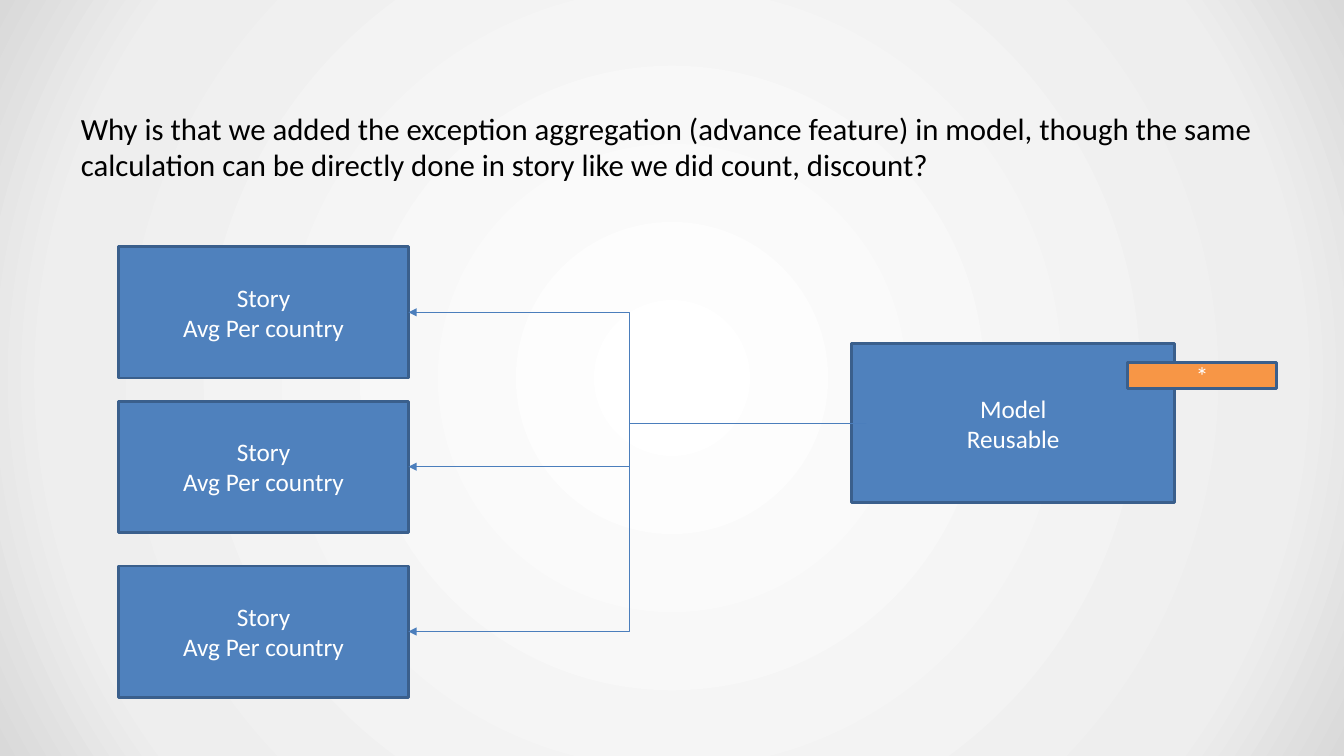
from pptx import Presentation
from pptx.dml.color import RGBColor
from pptx.enum.shapes import MSO_CONNECTOR, MSO_SHAPE
from pptx.enum.text import MSO_ANCHOR, PP_ALIGN
from pptx.oxml import parse_xml
from pptx.oxml.ns import nsdecls, qn
from pptx.util import Emu, Pt

RECT, ELBOW = MSO_SHAPE.RECTANGLE, MSO_CONNECTOR.ELBOW
MIDDLE, CENTER = MSO_ANCHOR.MIDDLE, PP_ALIGN.CENTER
PX = 9525  # 96 px to the inch
BLUE, ORANGE, OUTLINE, ARROW = "4F81BD", "F79646", "3A5F8C", "4B7EBC"
FONT = "Calibri"


def rgb(value):
    return RGBColor.from_string(value)


def add_box(x, y, w, h, fill, lines):
    sp = s.shapes.add_shape(RECT, x * PX, y * PX, w * PX, h * PX)
    sp.shadow.inherit = False
    sp.fill.solid()
    sp.fill.fore_color.rgb = rgb(fill)
    sp.line.color.rgb = rgb(OUTLINE)
    sp.line.width = Pt(2)
    tf = sp.text_frame
    tf.word_wrap = True
    tf.vertical_anchor = MIDDLE
    tf.text = lines
    for p in tf.paragraphs:
        p.alignment = CENTER
        p.font.name, p.font.size = FONT, Pt(18)
        p.font.color.rgb = rgb("FFFFFF")
    return sp


prs = Presentation()
prs.slide_width, prs.slide_height = Emu(1280 * PX), Emu(720 * PX)
s = prs.slides.add_slide(prs.slide_layouts[6])

# Radial background
s.background.fill.gradient()
grad = s.element.find(".//" + qn("a:gradFill"))
stops = "".join(
    f'<a:gs pos="{pos * 1000}"><a:srgbClr val="{color}"/></a:gs>'
    for pos, color in [(0, "FFFFFF"), (81, "EEEEEE"), (100, "D9D9D9")])
grad.getparent().replace(grad, parse_xml(
    f'<a:gradFill {nsdecls("a")} rotWithShape="1"><a:gsLst>{stops}</a:gsLst>'
    '<a:path path="circle"><a:fillToRect l="50000" t="50000" r="50000" b="50000"/>'
    '</a:path></a:gradFill>'))

# Question
tf = s.shapes.add_textbox(64 * PX, 98 * PX, 1152 * PX, 103 * PX).text_frame
tf.word_wrap = True
tf.margin_left = tf.margin_right = 13 * PX
tf.margin_top = tf.margin_bottom = 6 * PX
tf.text = ("Why is that we added the exception aggregation (advance feature) in model, "
           "though the same calculation can be directly done in story like we did count, discount?")
p = tf.paragraphs[0]
p.space_before = Pt(4.4)
r = p.runs[0]
r.font.name, r.font.size = FONT, Pt(22)
r.font.color.rgb = rgb("000000")

# Stories and the model they share
stories = [add_box(113, y, 276, 125, BLUE, "Story\nAvg Per country")
           for y in (235, 382, 539)]
model = add_box(811, 327, 308, 152, BLUE, "Model\nReusable")

# Arrows from the model to each story, all turning at the same x
TURN_X, MODEL_Y = 600, 403
for story, start_x in zip(stories, (811, 811, 825)):
    end_x = (story.left + story.width) // PX
    cn = s.shapes.add_connector(ELBOW, start_x * PX, MODEL_Y * PX,
                                end_x * PX, story.top + story.height // 2)
    if start_x * PX == model.left:
        cn.begin_connect(model, 1)
    cn.end_connect(story, 3)
    cn.line.color.rgb = rgb(ARROW)
    cn.line.width = Pt(0.75)
    cn.line._get_or_add_ln().append(parse_xml(f'<a:tailEnd {nsdecls("a")} type="triangle"/>'))
    pr = cn._element.spPr
    pr.append(parse_xml(f'<a:effectLst {nsdecls("a")}/>'))
    turn = round((start_x - TURN_X) / (start_x - end_x) * 100000)
    guides = pr.find(qn("a:prstGeom")).get_or_add_avLst()
    guides.append(parse_xml(f'<a:gd {nsdecls("a")} name="adj1" fmla="val {turn}"/>'))

# Marker on the model
add_box(1074, 345, 142, 25, ORANGE, "*")

prs.save("out.pptx")
